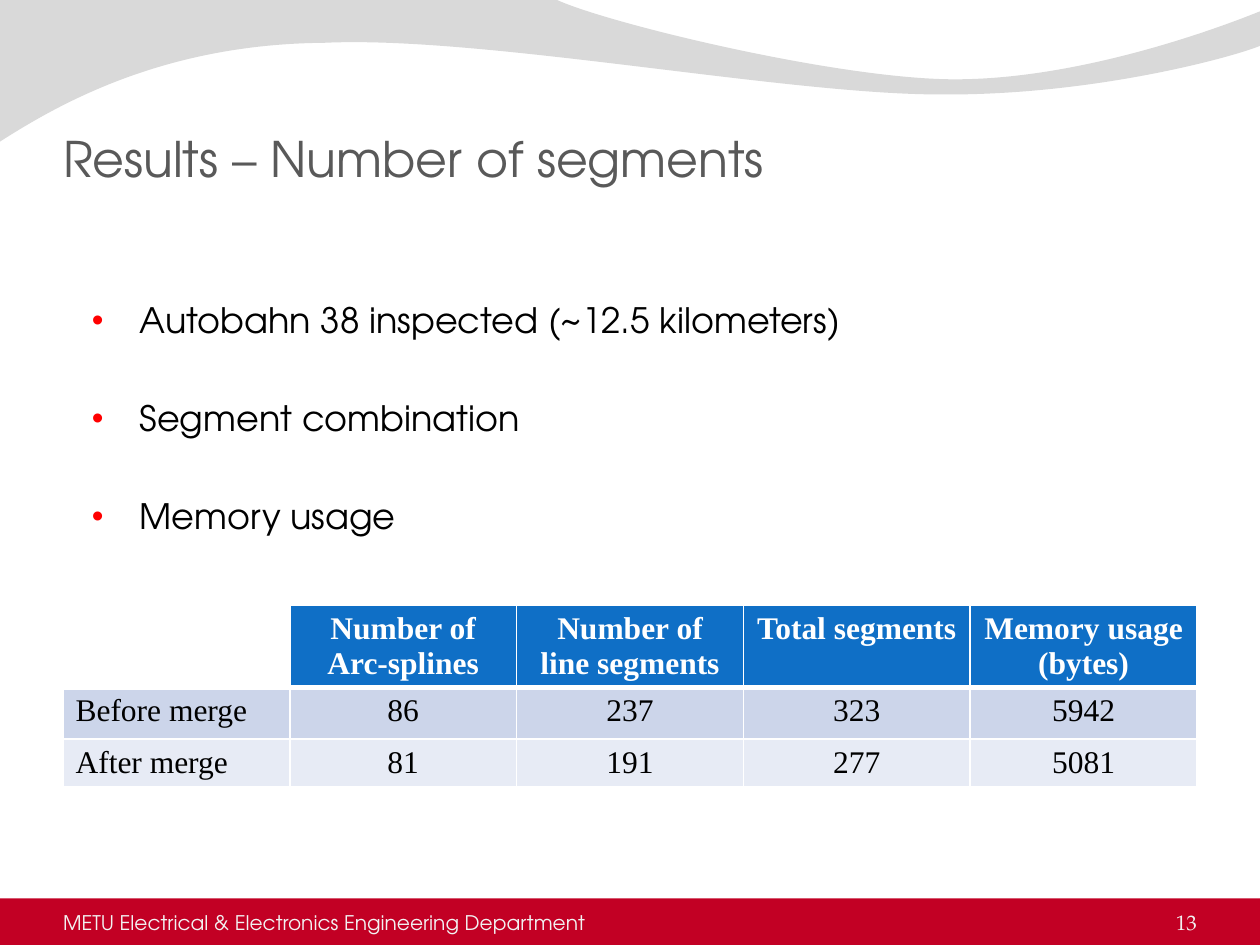
from typing import NamedTuple

from lxml.etree import SubElement
from pptx import Presentation
from pptx.dml.color import RGBColor
from pptx.enum.shapes import MSO_SHAPE as Shape
from pptx.enum.text import MSO_ANCHOR as Anchor, MSO_AUTO_SIZE as AutoSize, PP_ALIGN as Align
from pptx.oxml.ns import qn
from pptx.util import Inches, Pt

RED = RGBColor(0xC2, 0x00, 0x24)
LIGHT_GRAY = RGBColor(0xD9, 0xD9, 0xD9)
TITLE_GRAY = RGBColor(0x59, 0x59, 0x59)
FOOTER_TEXT = RGBColor(0xF2, 0xF2, 0xF2)
BLUE = RGBColor(0x0F, 0x6F, 0xC6)
BANDS = (RGBColor(0xCC, 0xD5, 0xEA), RGBColor(0xE7, 0xEB, 0xF5))
BULLET_RED = RGBColor(0xFF, 0x00, 0x00)
WHITE = RGBColor(0xFF, 0xFF, 0xFF)
BLACK = RGBColor(0x00, 0x00, 0x00)
SANS, PALATINO, TIMES = "TeX Gyre Adventor", "TeX Gyre Pagella", "Times New Roman"


class Area(NamedTuple):
    left: float
    top: float
    width: float
    height: float

    def lengths(self) -> list:
        return [Inches(value) for value in self]


class FooterText(NamedTuple):
    text: str
    area: Area
    font: str
    size: float
    align: Align


# Each wave edge is a start point followed by Bezier triples
WAVE_CORNER = (0, -0.01)
UPPER_EDGE = [(4.4, -0.01), (4.76, 0.17), (6.64, 0.63), (7.58, 0.63),
              (8.53, 0.63), (9.58, 0.26), (10, 0.09)]
LOWER_EDGE = [(10.01, 0.36), (9.83, 0.44), (8.7, 0.76), (7.46, 0.75),
              (6.22, 0.75), (3.82, 0.28), (2.57, 0.34),
              (1.29, 0.35), (0.46, 0.83), (-0.01, 1.13)]
FOOTERS = [
    FooterText("13", Area(8.87, 7.13, 0.63, 0.29), PALATINO, 12, Align.RIGHT),
    FooterText("METU Electrical & Electronics Engineering Department",
               Area(0.5, 7.13, 4.38, 0.29), SANS, 11.5, Align.LEFT),
]
BULLETS = ["Autobahn 38 inspected (~12.5 kilometers)", "Segment combination", "Memory usage"]
TABLE_ROWS = [
    ["", "Number of Arc-splines", "Number of line segments", "Total segments",
     "Memory usage (bytes)"],
    ["Before merge", "86", "237", "323", "5942"],
    ["After merge", "81", "191", "277", "5081"],
]
ROW_HEIGHTS = [0.49, 0.41, 0.27]


def write(para, text: str, *, font: str, size: float, color: RGBColor,
          bold: bool = False, align: Align = Align.LEFT) -> None:
    para.alignment = align
    span = para.add_run()
    span.text = text
    span.font.name, span.font.size, span.font.bold = font, Pt(size), bold
    span.font.color.rgb = color


def set_frame(box, area: Area, *, anchor: Anchor = Anchor.TOP, margins=None):
    box.left, box.top, box.width, box.height = area.lengths()
    frame = box.text_frame
    frame.word_wrap, frame.auto_size = True, AutoSize.NONE
    frame.vertical_anchor = anchor
    if margins:
        (frame.margin_left, frame.margin_top,
         frame.margin_right, frame.margin_bottom) = [Inches(value) for value in margins]
    return frame


def paint(shape, color: RGBColor) -> None:
    shape.shadow.inherit = False
    shape.fill.solid()
    shape.fill.fore_color.rgb = color
    shape.line.fill.background()


def bend(lines: list) -> None:
    """Turn every three straight segments into one cubic curve."""
    for index in range(0, len(lines), 3):
        triple = lines[index:index + 3]
        curve = triple[0].makeelement(qn("a:cubicBezTo"))
        triple[0].addprevious(curve)
        for line in triple:
            curve.append(line[0])
            line.getparent().remove(line)


def draw_background(page) -> None:
    bar = page.shapes.add_shape(Shape.RECTANGLE, *Area(0, 7.13, 10, 0.37).lengths())
    paint(bar, RED)
    start, *points = [(Inches(x), Inches(y))
                      for x, y in [WAVE_CORNER] + UPPER_EDGE + LOWER_EDGE]
    builder = page.shapes.build_freeform(*start, scale=1.0)
    builder.add_line_segments(points, close=True)
    wave = builder.convert_to_shape()
    paint(wave, LIGHT_GRAY)
    lines = list(wave.element.iter(qn("a:lnTo")))
    split = len(UPPER_EDGE)
    bend(lines[1:split])
    bend(lines[split + 1:split + len(LOWER_EDGE)])


def draw_title(page, text: str) -> None:
    title = page.shapes.title
    frame = set_frame(title, Area(0.5, 0.37, 9, 1.12), anchor=Anchor.BOTTOM,
                      margins=(0, 0.05, 0, 0))
    write(frame.paragraphs[0], text, font=SANS, size=28, color=TITLE_GRAY)
    # Bring the title in front of the background
    element = title.element
    element.getparent().append(element)


def draw_footer(page, footer: FooterText) -> None:
    box = page.shapes.add_textbox(*footer.area.lengths())
    frame = set_frame(box, footer.area, anchor=Anchor.BOTTOM, margins=(0, 0, 0, 0))
    write(frame.paragraphs[0], footer.text, font=footer.font, size=footer.size,
          color=FOOTER_TEXT, align=footer.align)


def add_bullet(para) -> None:
    props = para._p.get_or_add_pPr()
    props.set("marL", str(Inches(0.38)))
    props.set("indent", str(Inches(-0.38)))
    color = SubElement(props, qn("a:buClr"))
    SubElement(color, qn("a:srgbClr"), val=str(BULLET_RED))
    SubElement(props, qn("a:buSzPct"), val="95000")
    SubElement(props, qn("a:buFont"), typeface="Arial")
    SubElement(props, qn("a:buChar"), char="•")


def draw_bullets(page, items: list) -> None:
    area = Area(0.63, 2.32, 8.28, 1.92)
    frame = set_frame(page.shapes.add_textbox(*area.lengths()), area)
    for index, item in enumerate(items):
        para = frame.add_paragraph() if index else frame.paragraphs[0]
        para.space_before = Pt(32 if index else 4)
        write(para, item, font=SANS, size=20, color=BLACK)
        add_bullet(para)


def set_borders(cell, *, bottom: float) -> None:
    props = cell._tc.get_or_add_tcPr()
    for index, (side, width) in enumerate(
            (("lnL", 1), ("lnR", 1), ("lnT", 1), ("lnB", bottom))):
        line = SubElement(props, qn(f"a:{side}"), w=str(Pt(width)))
        fill = SubElement(line, qn("a:solidFill"))
        SubElement(fill, qn("a:srgbClr"), val=str(WHITE))
        props.insert(index, line)


def draw_table(page) -> None:
    area = Area(0.5, 4.8, 9, 1.51)
    columns = len(TABLE_ROWS[0])
    holder = page.shapes.add_table(len(TABLE_ROWS), columns, *area.lengths())
    table = holder.table
    for column in table.columns:
        column.width = Inches(area.width / columns)
    for row, (values, height) in enumerate(zip(TABLE_ROWS, ROW_HEIGHTS)):
        table.rows[row].height = Inches(height)
        header = row == 0
        for column, value in enumerate(values):
            cell = table.cell(row, column)
            if value:
                cell.fill.solid()
                cell.fill.fore_color.rgb = BLUE if header else BANDS[row - 1]
                write(cell.text_frame.paragraphs[0], value, font=TIMES, size=18,
                      bold=header, color=WHITE if header else BLACK,
                      align=Align.CENTER if column else Align.LEFT)
            else:
                cell.fill.background()
            set_borders(cell, bottom=3 if header else 1)
    holder.height = Inches(area.height)


def main() -> None:
    deck = Presentation()
    deck.slide_width, deck.slide_height = Inches(10), Inches(7.5)
    page = deck.slides.add_slide(deck.slide_layouts[5])
    draw_background(page)
    draw_title(page, "Results – Number of segments")
    for footer in FOOTERS:
        draw_footer(page, footer)
    draw_table(page)
    draw_bullets(page, BULLETS)
    deck.save("out.pptx")


if __name__ == "__main__":
    main()
